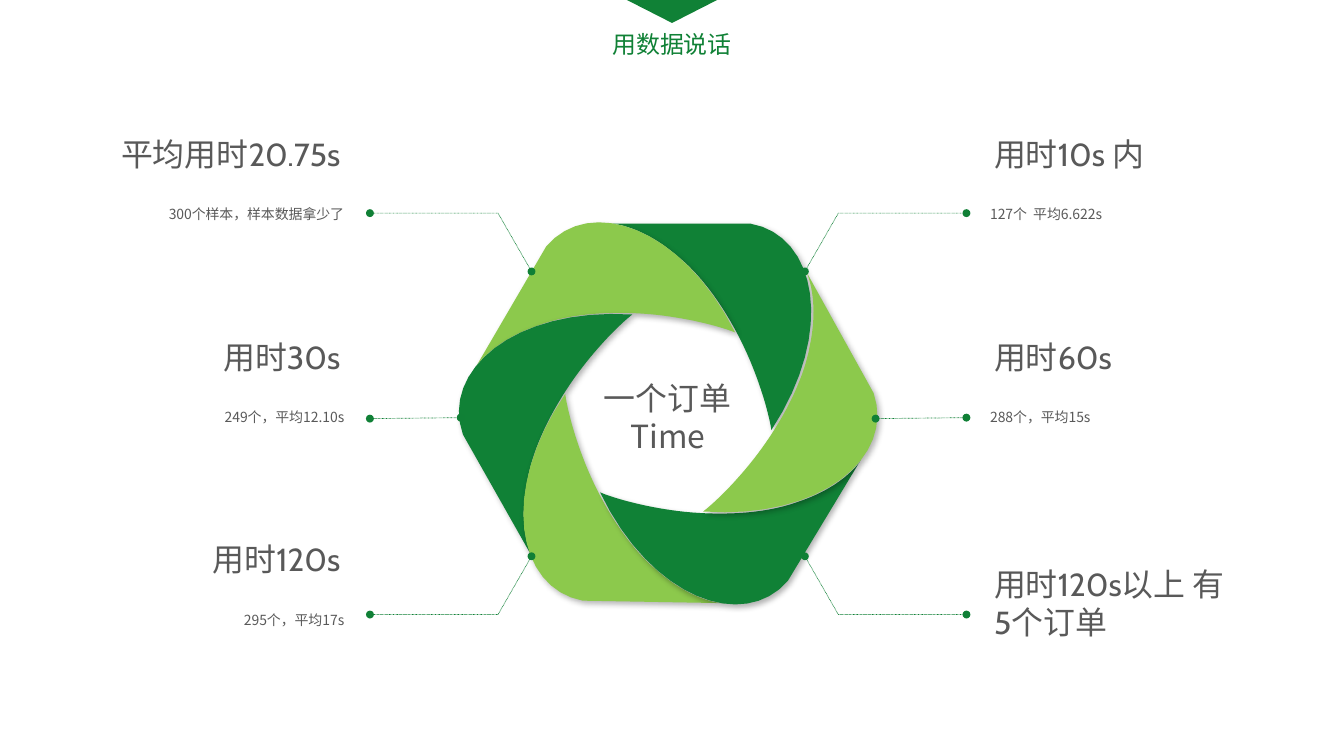
from dataclasses import dataclass
from math import cos, radians, sin

from lxml.etree import SubElement
from pptx import Presentation
from pptx.dml.color import RGBColor
from pptx.enum.dml import MSO_LINE
from pptx.enum.shapes import MSO_CONNECTOR, MSO_SHAPE
from pptx.enum.text import MSO_ANCHOR, MSO_AUTO_SIZE, PP_ALIGN
from pptx.oxml.ns import qn
from pptx.util import Inches, Pt


@dataclass(frozen=True)
class Theme:
    dark: RGBColor = RGBColor(0x10, 0x81, 0x36)
    light: RGBColor = RGBColor(0x8C, 0xC9, 0x4C)
    leader: RGBColor = RGBColor(0x10, 0x80, 0x36)
    grey: RGBColor = RGBColor(0x59, 0x59, 0x59)
    cjk_font: str = "Noto Sans CJK SC"
    heading_font: str = "Cabin"
    title_font: str = "Calibri"
    title_size: float = 18
    heading_size: float = 24
    note_size: float = 10.5
    leader_width: float = 0.5


@dataclass(frozen=True)
class Box:
    left: float
    top: float
    width: float
    height: float

    @property
    def center(self):
        return self.left + self.width / 2, self.top + self.height / 2

    def place(self, part):
        part.left, part.top = Inches(self.left), Inches(self.top)
        part.width, part.height = Inches(self.width), Inches(self.height)


THEME = Theme()
BLADE_START = (-0.62, -1.98)
BLADE_SHOULDER = (0.86, -1.98)
BLADE_CURVES = [
    [(1.55, -1.86), (1.76, -0.86), (1.08, 0.18)],
    [(1.06, 0.04), (0.98, -0.27), (0.83, -0.61)],
    [(0.67, -0.97), (0.41, -1.39), (0.10, -1.64)],
    [(-0.12, -1.83), (-0.36, -1.95), (-0.58, -1.98)],
]
BLADE_ANGLES = [0, 300.3, 240.5, 181, 121.1, 61]
LEFT_CALLOUTS = [
    ("平均用时20.75s", "300个样本，样本数据拿少了"),
    ("用时30s", "249个，平均12.10s"),
    ("用时120s", "295个，平均17s"),
]
RIGHT_CALLOUTS = [
    ("用时10s 内", "127个  平均6.622s"),
    ("用时60s", "288个，平均15s"),
]


def emu(points):
    return [(Inches(x), Inches(y)) for x, y in points]


def write(frame, lines, size, font, color, align, wrap=True, inset=(0.1, 0.05),
          anchor=MSO_ANCHOR.TOP, spacing=None):
    frame.word_wrap = wrap
    frame.auto_size = MSO_AUTO_SIZE.SHAPE_TO_FIT_TEXT
    frame.vertical_anchor = anchor
    frame.margin_left = frame.margin_right = Inches(inset[0])
    frame.margin_top = frame.margin_bottom = Inches(inset[1])
    for index, line in enumerate(lines):
        paragraph = frame.add_paragraph() if index else frame.paragraphs[0]
        paragraph.alignment = align
        paragraph.line_spacing = spacing
        run = paragraph.add_run()
        run.text = line
        run.font.size = Pt(size)
        run.font.name = font
        run.font.color.rgb = color
        SubElement(run.font._element, qn("a:ea"), typeface=THEME.cjk_font)


def add_text(slide, box, *args, **options):
    area = slide.shapes.add_textbox(0, 0, 0, 0)
    box.place(area)
    write(area.text_frame, *args, **options)


def header(slide, box):
    title = slide.shapes.title
    Box(box.left, box.top + 0.28, box.width, 0.4).place(title)
    write(title.text_frame, ["用数据说话"], THEME.title_size, THEME.title_font,
          THEME.dark, PP_ALIGN.CENTER, wrap=False)
    pointer = slide.shapes.add_shape(MSO_SHAPE.ISOSCELES_TRIANGLE, 0, 0, 0, 0)
    Box(box.center[0] - 0.51, box.top, 1.02, 0.26).place(pointer)
    pointer.rotation = 180
    pointer.shadow.inherit = False
    pointer.fill.solid()
    pointer.fill.fore_color.rgb = THEME.dark
    pointer.line.fill.background()


def bezier(start, first, second, end, steps=16):
    for step in range(1, steps + 1):
        t = step / steps
        u = 1 - t
        yield tuple(u**3 * a + 3 * u * u * t * b + 3 * u * t * t * c + t**3 * d
                    for a, b, c, d in zip(start, first, second, end))


def blade_outline():
    outline = [BLADE_START, BLADE_SHOULDER]
    for curve in BLADE_CURVES:
        outline.extend(bezier(outline[-1], *curve))
    return outline


def cast_shadow(blade):
    blade.shadow.inherit = False
    effects = blade._element.spPr.find(qn("a:effectLst"))
    shadow = SubElement(effects, qn("a:outerShdw"), blurRad=str(Pt(4.5)),
                        dist=str(Pt(2.6)), dir=str(53 * 60000),
                        algn="ctr", rotWithShape="0")
    black = SubElement(shadow, qn("a:srgbClr"), val="000000")
    SubElement(black, qn("a:alpha"), val="30000")


def wheel(slide, box):
    cx, cy = box.center
    outline = blade_outline()
    for index, angle in enumerate(BLADE_ANGLES):
        c, s = cos(radians(angle)), sin(radians(angle))
        points = emu((cx + x * c - y * s, cy + x * s + y * c) for x, y in outline)
        builder = slide.shapes.build_freeform(*points[0])
        builder.add_line_segments(points[1:])
        blade = builder.convert_to_shape()
        blade.fill.solid()
        blade.fill.fore_color.rgb = THEME.light if index % 2 else THEME.dark
        blade.line.fill.background()
        cast_shadow(blade)
    add_text(slide, Box(cx - 0.78, cy - 0.41, 1.55, 0.91), ["一个订单", "Time"],
             THEME.heading_size, THEME.cjk_font, THEME.grey, PP_ALIGN.CENTER, wrap=False)


def style_leader(leader):
    leader.line.color.rgb = THEME.leader
    leader.line.width = Pt(THEME.leader_width)
    leader.line.dash_style = MSO_LINE.ROUND_DOT
    properties = leader._element.spPr
    for end in ("a:headEnd", "a:tailEnd"):
        SubElement(properties.find(qn("a:ln")), qn(end), type="oval")
    SubElement(properties, qn("a:effectLst"))


def leaders(slide, box):
    cx = box.center[0]
    right, bottom = box.left + box.width, box.top + box.height
    for side in (-1, 1):
        for outer, inward in ((box.top, 0.61), (bottom, -0.61)):
            points = emu([(cx + side * 1.43, outer + inward),
                          (cx + side * 1.78, outer),
                          (cx + side * box.width / 2, outer)])
            builder = slide.shapes.build_freeform(*points[0])
            builder.add_line_segments(points[1:], close=False)
            leader = builder.convert_to_shape()
            leader.fill.background()
            style_leader(leader)
    for start in (right, box.left + 0.95):
        ends = emu([(start, box.top + 2.14), (start - 0.95, box.top + 2.15)])
        style_leader(slide.shapes.add_connector(MSO_CONNECTOR.STRAIGHT, *ends[0], *ends[1]))


def callout(slide, box, heading, align, note=None):
    heading_height = box.height if note is None else 0.55
    add_text(slide, Box(box.left, box.top, box.width, heading_height), [heading],
             THEME.heading_size, THEME.heading_font, THEME.grey, align, inset=(0.14, 0.07))
    if note:
        add_text(slide, Box(box.left, box.top + 0.71, box.width, 0.33), [note],
                 THEME.note_size, THEME.cjk_font, THEME.grey, align,
                 anchor=MSO_ANCHOR.MIDDLE, spacing=1.3)


def callout_column(slide, box, callouts, align):
    pitch = box.height / 3
    for row, (heading, note) in enumerate(callouts):
        callout(slide, Box(box.left, box.top + row * pitch, box.width, 1.04),
                heading, align, note)


def main():
    deck = Presentation()
    deck.slide_width, deck.slide_height = Inches(14.06), Inches(7.91)
    slide = deck.slides.add_slide(deck.slide_layouts[5])
    header(slide, Box(6.3, -0.02, 1.46, 0.68))
    wheel(slide, Box(4.84, 2.17, 4.3, 4.3))
    leaders(slide, Box(3.87, 2.23, 6.24, 4.2))
    callout_column(slide, Box(0.9, 1.34, 2.8, 6.36), LEFT_CALLOUTS, PP_ALIGN.RIGHT)
    callout_column(slide, Box(10.26, 1.34, 2.76, 6.36), RIGHT_CALLOUTS, PP_ALIGN.LEFT)
    callout(slide, Box(10.26, 5.84, 2.76, 0.95), "用时120s以上 有5个订单", PP_ALIGN.LEFT)
    deck.save("out.pptx")


if __name__ == "__main__":
    main()
